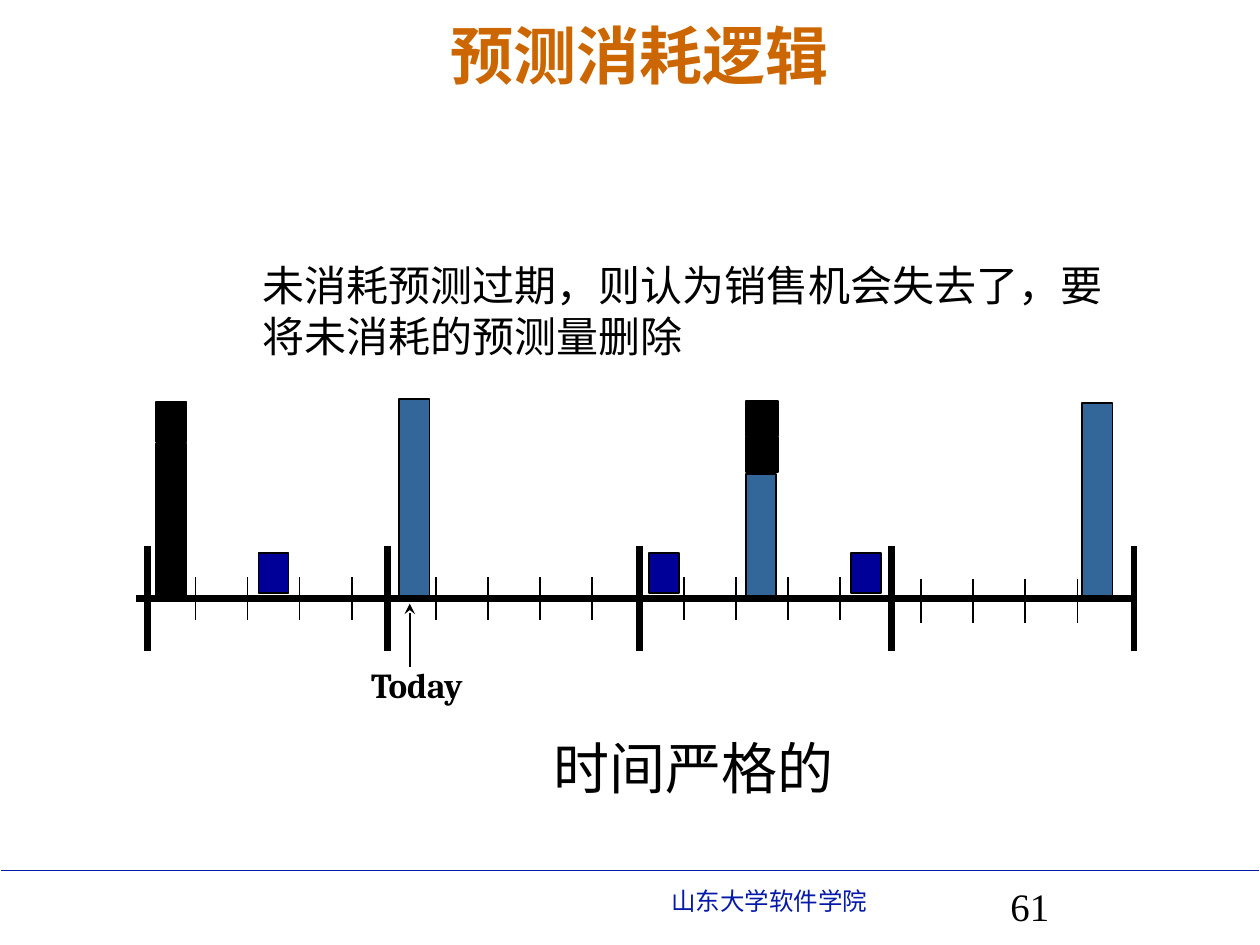
from lxml.etree import SubElement
from pptx import Presentation
from pptx.dml.color import RGBColor
from pptx.enum.shapes import MSO_CONNECTOR, MSO_SHAPE
from pptx.enum.text import MSO_ANCHOR, PP_ALIGN
from pptx.oxml.ns import qn
from pptx.util import Cm, Pt

BLACK = RGBColor(0x00, 0x00, 0x00)
ORANGE = RGBColor(0xCC, 0x66, 0x00)
FOOTER_BLUE = RGBColor(0x06, 0x1A, 0xAA)
FORECAST_BLUE = RGBColor(0x33, 0x66, 0x99)
ORDER_BLUE = RGBColor(0x00, 0x00, 0x99)

presentation = Presentation()
presentation.slide_width = Cm(25.4)
presentation.slide_height = Cm(19.05)
slide = presentation.slides.add_slide(presentation.slide_layouts[6])


def add_line(x1, y1, x2, y2, width=1, color=BLACK):
    connector = slide.shapes.add_connector(
        MSO_CONNECTOR.STRAIGHT, Cm(x1), Cm(y1), Cm(x2), Cm(y2))
    connector.line.width = Pt(width)
    connector.line.color.rgb = color
    SubElement(connector._element.spPr, qn("a:effectLst"))
    return connector


def add_text(text, box, font, color=BLACK, frame=None, paragraph_format=None):
    shape = slide.shapes.add_textbox(*[Cm(length) for length in box])
    text_frame = shape.text_frame
    for name, value in ({"word_wrap": True} | (frame or {})).items():
        setattr(text_frame, name, value)
    paragraph = text_frame.paragraphs[0]
    for name, value in (paragraph_format or {}).items():
        setattr(paragraph, name, value)
    run = paragraph.add_run()
    run.text = text
    for name, value in font.items():
        setattr(run.font, name, value)
    run.font.color.rgb = color


centered = {"alignment": PP_ALIGN.CENTER}

add_line(0.03, 17.55, 25.37, 17.55, color=FOOTER_BLUE)
add_text("山东大学软件学院", (13.28, 17.73, 11, 0.86),
         {"name": "Arial", "size": Pt(14)}, FOOTER_BLUE)
add_text("预测消耗逻辑", (1.02, 0.33, 23.75, 1.52),
         {"name": "Times New Roman", "size": Pt(36), "bold": True}, ORANGE,
         {"vertical_anchor": MSO_ANCHOR.MIDDLE}, centered)
add_text("61", (20.12, 17.78, 5.28, 1.27),
         {"name": "Times New Roman", "size": Pt(22.2)},
         paragraph_format={"line_spacing": 0.9})

bars = [
    (3.15, 8.94, 0.61, 3.12, BLACK),
    (8.05, 8.05, 0.61, 3.99, FORECAST_BLUE),
    (15.04, 9.55, 0.61, 2.49, FORECAST_BLUE),
    (21.82, 8.13, 0.61, 3.91, FORECAST_BLUE),
    (3.15, 8.1, 0.61, 0.81, BLACK),
    (15.04, 8.81, 0.64, 0.71, BLACK),
    (15.04, 8.08, 0.64, 0.71, BLACK),
]
bars += [(left, 11.15, 0.61, 0.81, ORDER_BLUE) for left in (5.21, 13.08, 17.15)]
for left, top, width, height, color in bars:
    bar = slide.shapes.add_shape(
        MSO_SHAPE.RECTANGLE, Cm(left), Cm(top), Cm(width), Cm(height))
    bar.shadow.inherit = False
    bar.fill.solid()
    bar.fill.fore_color.rgb = color
    bar.line.color.rgb = BLACK
    bar.line.width = Pt(1)

for x in (2.97, 7.82, 12.9, 17.98, 22.86):
    add_line(x, 13.13, x, 11, width=4)

for first_tick, top in ((3.94, 11.63), (8.79, 11.63), (13.79, 11.63), (18.57, 11.68)):
    for index in range(4):
        x = first_tick + index * 1.05
        add_line(x, top + 0.87, x, top)

add_line(2.74, 12.07, 22.86, 12.07, width=4)

add_text("时间严格的", (3.18, 14.66, 21.59, 1.6),
         {"name": "Times New Roman", "size": Pt(32)}, paragraph_format=centered)

today_arrow = add_line(8.26, 12.17, 8.26, 13.44)
SubElement(today_arrow.line._get_or_add_ln(), qn("a:headEnd"), type="stealth")
add_text("Today", (7.01, 13.26, 2.79, 1.09),
         {"name": "Cambria", "size": Pt(20), "bold": True},
         frame={"word_wrap": False}, paragraph_format=centered)

add_text("未消耗预测过期，则认为销售机会失去了，要将未消耗的预测量删除",
         (2.51, 5.11, 20.37, 2.29),
         {"name": "Times New Roman", "size": Pt(24)},
         frame={"margin_left": Cm(2.79)})

presentation.save("out.pptx")
